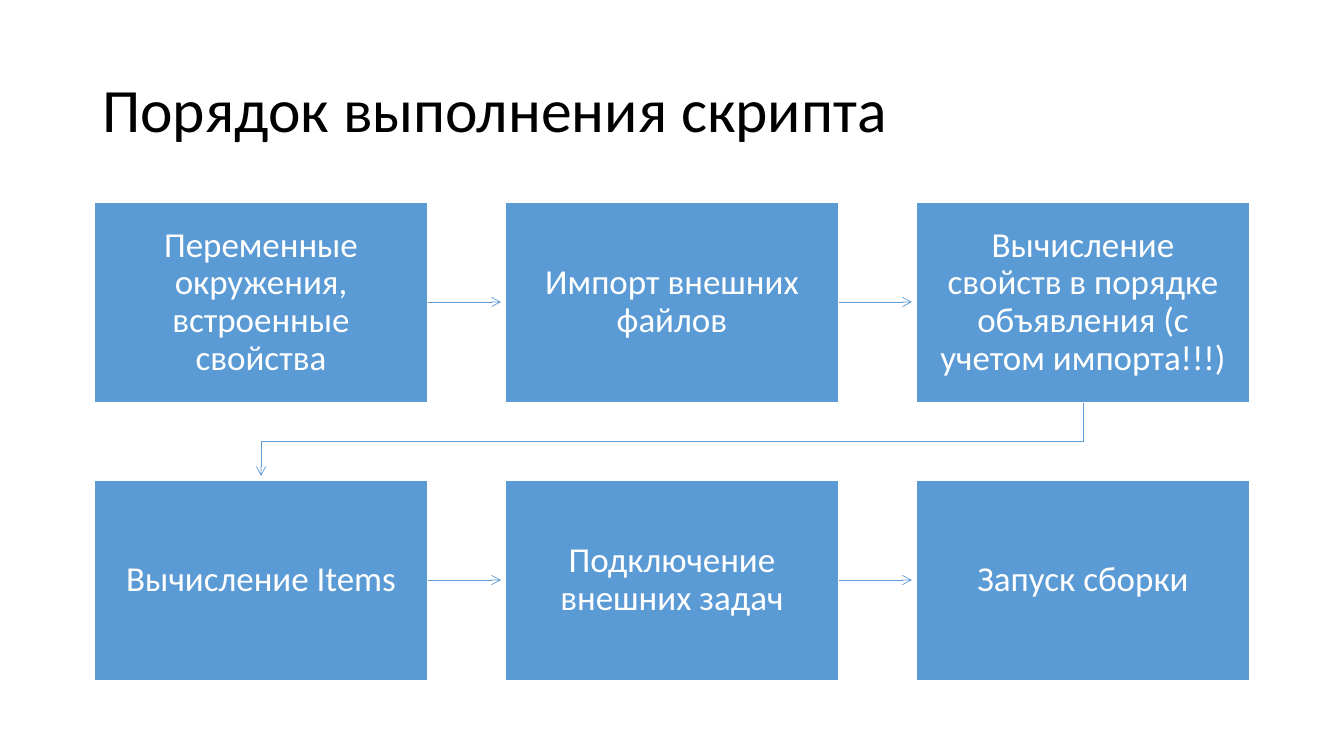
import pptx
import pptx.util
import pptx.dml.color
import pptx.enum.shapes
import pptx.enum.text
import pptx.oxml.ns
import lxml.etree

SCALE = 914400 / 100.8
COLORS = {"box": "5B9BD5", "edge": "FFFFFF", "label": "FFFFFF", "title": "000000"}
FONT = "Calibri"
LEFT, TOP = 94, 202
WIDTH, HEIGHT = 334, 201
STEP_X, STEP_Y = 411, 278
COLS = 3
REACH = 73  # arrows stop just short of the next box
PAD = 19

steps = [
    "Переменные окружения, встроенные свойства",
    "Импорт внешних файлов",
    "Вычисление свойств в порядке объявления (с учетом импорта!!!)",
    "Вычисление Items",
    "Подключение внешних задач",
    "Запуск сборки",
]


def px(*sizes):
    """Turn pixel lengths into a list of EMU lengths."""
    return [pptx.util.Emu(round(size * SCALE)) for size in sizes]


def style_arrow(arrow):
    """Give a line its colour and open head, and drop its shadow."""
    arrow.line.color.rgb = pptx.dml.color.RGBColor.from_string(COLORS["box"])
    arrow.line.width = pptx.util.Pt(0.5)
    props = arrow._element.spPr
    line = props.find(pptx.oxml.ns.qn("a:ln"))
    lxml.etree.SubElement(line, pptx.oxml.ns.qn("a:tailEnd"), type="arrow")
    lxml.etree.SubElement(props, pptx.oxml.ns.qn("a:effectLst"))


deck = pptx.Presentation()
deck.slide_width, deck.slide_height = px(1344, 756)
slide = deck.slides.add_slide(deck.slide_layouts[5])
shapes = slide.shapes

title = shapes.title
title.left, title.top, title.width, title.height = px(92, 40, 1159, 146)
frame = title.text_frame
frame.text = "Порядок выполнения скрипта"
frame.word_wrap = True
frame.auto_size = pptx.enum.text.MSO_AUTO_SIZE.NONE
frame.vertical_anchor = pptx.enum.text.MSO_ANCHOR.MIDDLE
para = frame.paragraphs[0]
para.alignment = pptx.enum.text.PP_ALIGN.LEFT
para.line_spacing = 0.9
para.font.name = FONT
para.font.size = pptx.util.Pt(44)
para.font.color.rgb = pptx.dml.color.RGBColor.from_string(COLORS["title"])

for index, label in enumerate(steps):
    row, col = divmod(index, COLS)
    left, top = LEFT + col * STEP_X, TOP + row * STEP_Y
    box = shapes.add_shape(
        pptx.enum.shapes.MSO_SHAPE.RECTANGLE, *px(left, top, WIDTH, HEIGHT)
    )
    box.shadow.inherit = False
    box.fill.solid()
    box.fill.fore_color.rgb = pptx.dml.color.RGBColor.from_string(COLORS["box"])
    box.line.color.rgb = pptx.dml.color.RGBColor.from_string(COLORS["edge"])
    box.line.width = pptx.util.Pt(1)

    frame = box.text_frame
    frame.text = label
    frame.word_wrap = True
    frame.vertical_anchor = pptx.enum.text.MSO_ANCHOR.MIDDLE
    frame.margin_left, frame.margin_right = px(PAD, PAD)
    frame.margin_top, frame.margin_bottom = px(PAD, PAD)
    para = frame.paragraphs[0]
    para.alignment = pptx.enum.text.PP_ALIGN.CENTER
    para.line_spacing = 0.9
    para.font.name = FONT
    para.font.size = pptx.util.Pt(25)
    para.font.color.rgb = pptx.dml.color.RGBColor.from_string(COLORS["label"])

    if col < COLS - 1:
        start, mid = left + WIDTH, top + HEIGHT // 2
        arrow = shapes.add_connector(
            pptx.enum.shapes.MSO_CONNECTOR.STRAIGHT,
            *px(start, mid, start + REACH, mid),
        )
        style_arrow(arrow)

# The bent arrow leads from the last box of row one to the first of row two.
first = LEFT + WIDTH // 2
last = first + (COLS - 1) * STEP_X
base = TOP + HEIGHT
turn = (base + TOP + STEP_Y) // 2
route = shapes.build_freeform(last, base, scale=SCALE)
route.add_line_segments(
    [(last, turn), (first, turn), (first, base + REACH)], close=False
)
bend = route.convert_to_shape()
bend.fill.background()
style_arrow(bend)

deck.save("out.pptx")
